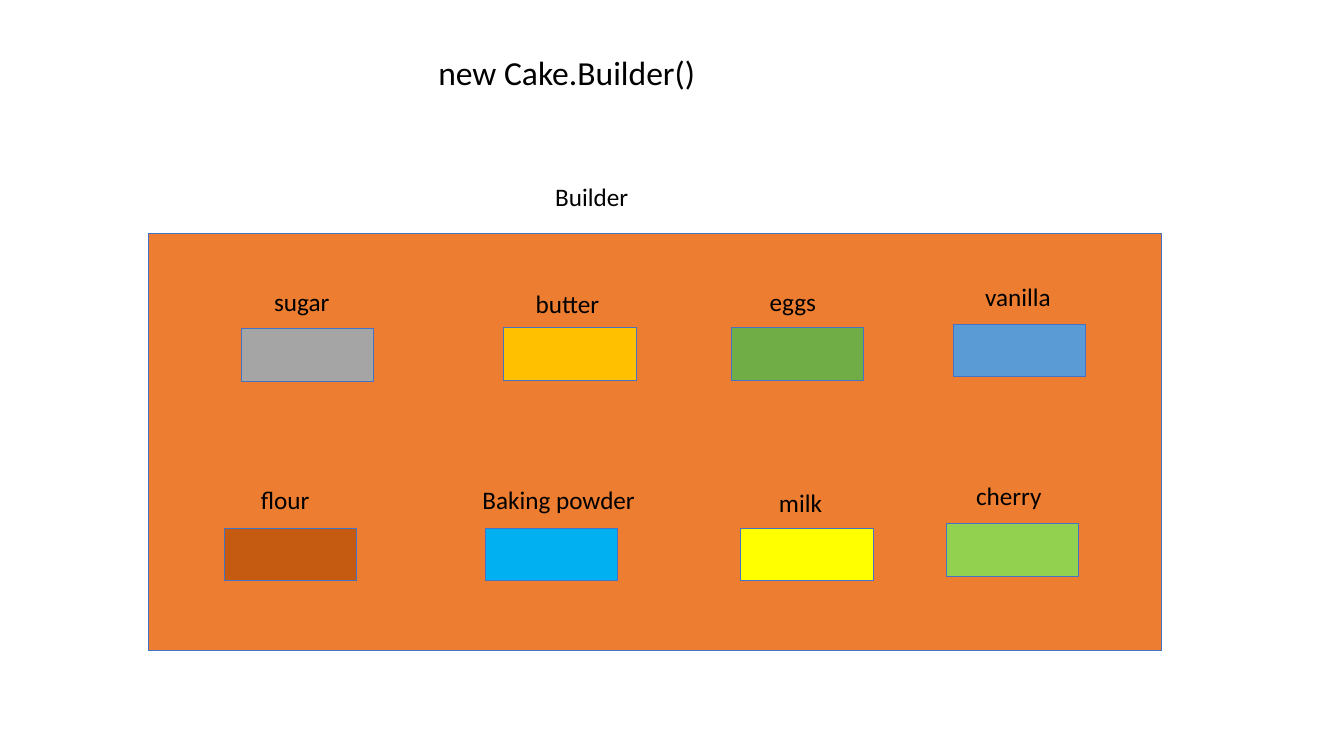
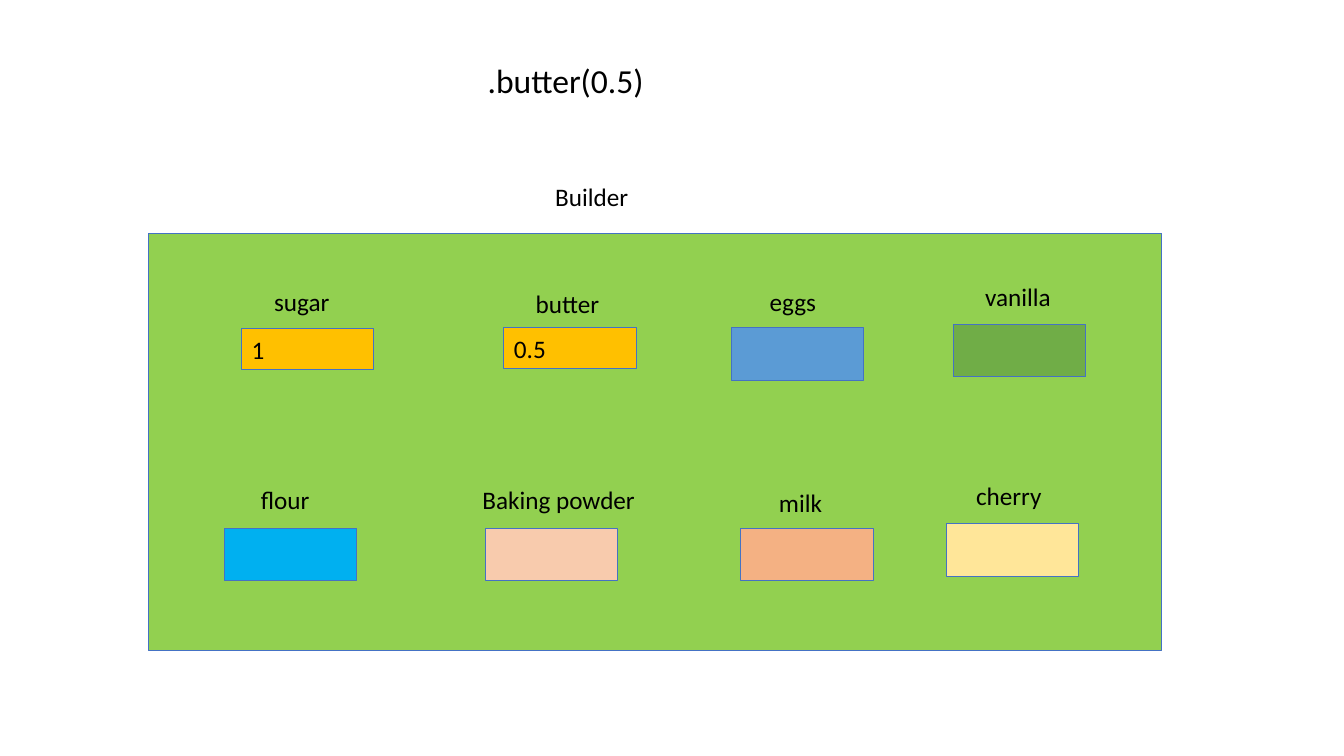
from pptx import Presentation
from pptx.dml.color import RGBColor
from pptx.enum.shapes import MSO_SHAPE as Shape
from pptx.enum.text import MSO_ANCHOR as Anchor, MSO_AUTO_SIZE as AutoSize, PP_ALIGN as Align
from pptx.util import Pt

FONT = "Calibri"
COLORS = {
    "text": "000000", "outline": "4472C4", "orange": "ED7D31", "lime": "92D050",
    "gray": "A5A5A5", "gold": "FFC000", "green": "70AD47", "blue": "5B9BD5",
    "brown": "C55A11", "sky": "00B0F0", "yellow": "FFFF00", "pink": "F8CBAD",
    "peach": "F4B183", "cream": "FFE699",
}
SLOT_WIDTH, SLOT_HEIGHT, FILLED_HEIGHT = 94.5, 37.5, 28.8
LABEL_WIDTH, LABEL_HEIGHT = 67.7, 28.8

# name, slot left and top, label left and top, label width
INGREDIENTS = [
    ("sugar", 172.8, 234.9, 188.8, 201, LABEL_WIDTH),
    ("butter", 360.2, 234.2, 375.8, 202.4, LABEL_WIDTH),
    ("eggs", 522.7, 234.2, 543, 201, LABEL_WIDTH),
    ("vanilla", 681.2, 231.8, 697, 197.3, LABEL_WIDTH),
    ("flour", 160.4, 377.2, 179.3, 342.7, LABEL_WIDTH),
    ("Baking powder", 347, 377.2, 337.7, 342.7, 124),
    ("milk", 529.5, 377.2, 549.6, 344.9, LABEL_WIDTH),
    ("cherry", 676.3, 374, 690.5, 339.3, LABEL_WIDTH),
]

STEPS = [
    {"title": "new Cake.Builder()", "title_at": (306, 33.8, 255, 36), "panel": "orange",
     "slots": ["gray", "gold", "green", "blue", "brown", "sky", "yellow", "lime"],
     "amounts": {}},
    {"title": ".butter(0.5)", "title_at": (341.3, 39.2, 147.6, 36), "panel": "lime",
     "slots": ["gold", "gold", "blue", "green", "sky", "pink", "peach", "cream"],
     "amounts": {"sugar": "1", "butter": "0.5"}},
]


def write(shape, text, size=18, anchor=Anchor.TOP):
    frame = shape.text_frame
    frame.text = text
    frame.word_wrap = True
    frame.auto_size = AutoSize.NONE
    frame.vertical_anchor = anchor
    para = frame.paragraphs[0]
    para.alignment = Align.LEFT
    para.font.name = FONT
    para.font.size = Pt(size)
    para.font.color.rgb = RGBColor.from_string(COLORS["text"])


def add_box(page, left, top, width, height, color):
    """Add an outlined rectangle filled with a named color."""
    box = page.shapes.add_shape(Shape.RECTANGLE, Pt(left), Pt(top), Pt(width), Pt(height))
    box.shadow.inherit = False
    box.fill.solid()
    box.fill.fore_color.rgb = RGBColor.from_string(COLORS[color])
    box.line.color.rgb = RGBColor.from_string(COLORS["outline"])
    box.line.width = Pt(0.75)
    return box


deck = Presentation()
deck.slide_width, deck.slide_height = Pt(960.5), Pt(540)
title_only = deck.slide_layouts[5]

for step in STEPS:
    page = deck.slides.add_slide(title_only)
    title = page.shapes.title
    title.left, title.top, title.width, title.height = map(Pt, step["title_at"])
    write(title, step["title"], size=24)

    add_box(page, 105.8, 166.6, 724.5, 298, step["panel"])
    labels = [("Builder", 389.7, 126, 72)]

    for ingredient, color in zip(INGREDIENTS, step["slots"]):
        name, left, top, label_left, label_top, label_width = ingredient
        amount = step["amounts"].get(name)
        height = FILLED_HEIGHT if amount else SLOT_HEIGHT
        slot = add_box(page, left, top, SLOT_WIDTH, height, color)
        if amount:
            write(slot, amount, anchor=Anchor.MIDDLE)
        labels.append((name, label_left, label_top, label_width))

    for text, left, top, width in labels:
        label = page.shapes.add_textbox(Pt(left), Pt(top), Pt(width), Pt(LABEL_HEIGHT))
        write(label, text)

deck.save("out.pptx")
